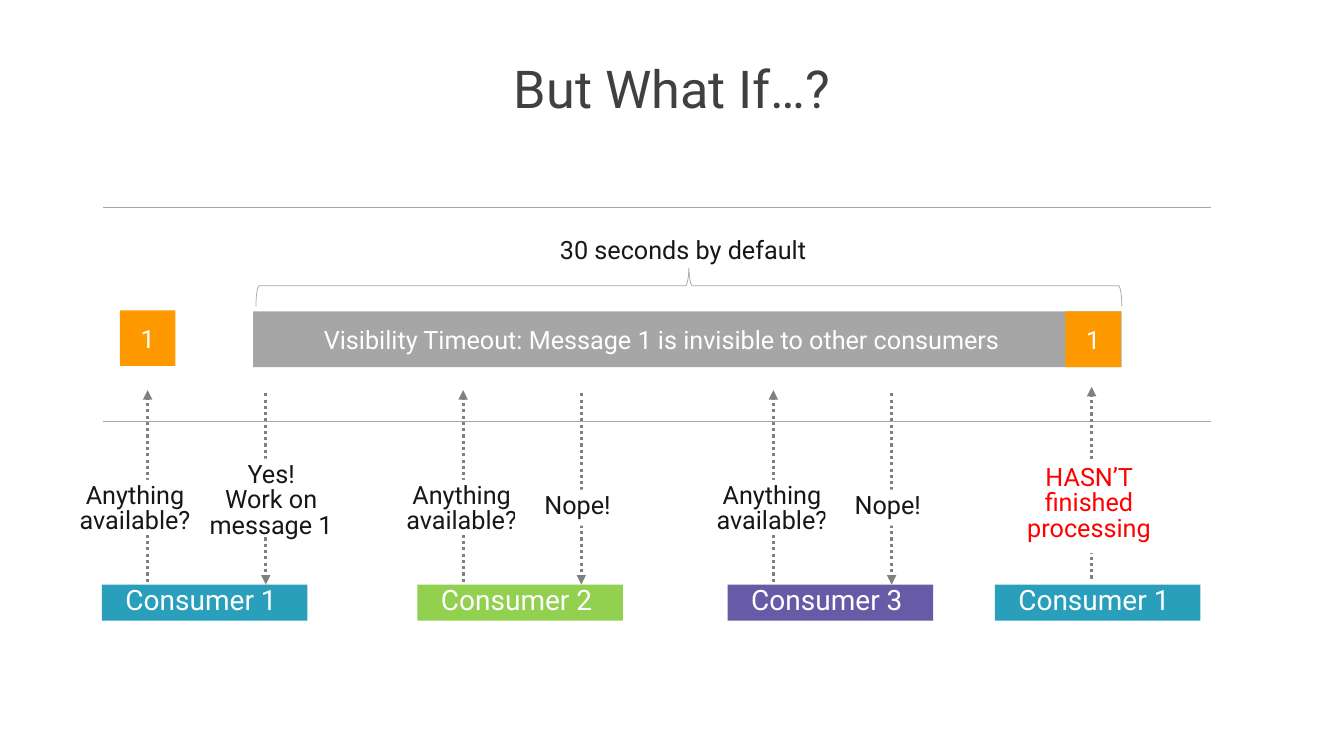
from lxml import etree
from pptx import Presentation
from pptx.dml.color import RGBColor
from pptx.enum import dml, shapes, text
from pptx.oxml.ns import qn
from pptx.util import Cm, Pt

FONT = "Roboto"
WHITE, INK, RED = "FFFFFF", "171717", "FF0000"
GRAY, DARK, ORANGE, TEAL = "A6A6A6", "808080", "FF9900", "2A9FBC"
SNUG = (0, 0.1, 0.18, 0.1)
WIDE = (0.25, 0.13, 0.25, 0.13)
MIDDLE, BOTTOM, TOP = (text.MSO_ANCHOR.MIDDLE, text.MSO_ANCHOR.BOTTOM,
                       text.MSO_ANCHOR.TOP)
CENTER, LEFT = text.PP_ALIGN.CENTER, text.PP_ALIGN.LEFT


def color(code):
    return RGBColor.from_string(code)


def write(shape, words, size, ink, anchor, align, insets, spacing):
    """Fill a shape with one paragraph; insets run left, top, right, bottom."""
    frame = shape.text_frame
    frame.word_wrap = True
    frame.vertical_anchor = anchor
    (frame.margin_left, frame.margin_top,
     frame.margin_right, frame.margin_bottom) = map(Cm, insets)
    para = frame.paragraphs[0]
    para.text = words
    para.alignment = align
    para.line_spacing = spacing
    para.font.name = FONT
    para.font.size = Pt(size)
    para.font.color.rgb = color(ink)


def add_title(slide, words):
    box = slide.shapes.add_textbox(Cm(2.34), Cm(1.57), Cm(29.21), Cm(1.5))
    write(box, words, 37.3, "404040", MIDDLE, CENTER, WIDE, 0.9)


def add_box(slide, at, fill, words, size=18, ink=WHITE, anchor=MIDDLE,
            align=CENTER, insets=WIDE, spacing=1.0):
    box = slide.shapes.add_shape(shapes.MSO_SHAPE.RECTANGLE, *map(Cm, at))
    box.shadow.inherit = False
    box.fill.solid()
    box.fill.fore_color.rgb = color(fill)
    box.line.fill.background()
    write(box, words, size, ink, anchor, align, insets, spacing)


def add_label(slide, at, words, ink=INK, anchor=TOP):
    add_box(slide, at, WHITE, words, 18, ink, anchor, CENTER, SNUG, 0.85)


def add_line(slide, start, end, ink, width):
    line = slide.shapes.add_connector(shapes.MSO_CONNECTOR.STRAIGHT,
                                      *map(Cm, start + end))
    line.line.color.rgb = color(ink)
    line.line.width = Pt(width)
    etree.SubElement(line._element.spPr, qn("a:effectLst"))
    return line


def add_arrow(slide, x, start, end):
    """Draw a dotted vertical arrow with its head at end."""
    arrow = add_line(slide, (x, start), (x, end), DARK, 2.25)
    arrow.line.dash_style = dml.MSO_LINE.ROUND_DOT
    etree.SubElement(arrow.line._get_or_add_ln(), qn("a:tailEnd"),
                     type="triangle")


def add_brace(slide):
    brace = slide.shapes.add_shape(shapes.MSO_SHAPE.LEFT_BRACE, Cm(16.84),
                                   Cm(-3.71), Cm(1.04), Cm(21.82))
    brace.rotation = 90
    brace.shadow.inherit = False
    brace.fill.background()
    brace.line.color.rgb = color(GRAY)
    brace.line.width = Pt(0.5)


def add_user(slide, x, name, fill):
    add_box(slide, (x, 14.73, 5.18, 0.91), fill, name, 20, WHITE, BOTTOM,
            CENTER, SNUG, 0.85)


def add_poll(slide, x, name, fill, ask, reply, words, top, height):
    """Draw a consumer with its question and the reply; ask and reply
    are the label offsets from x."""
    add_arrow(slide, x + 1.15, 14.66, 9.83)
    add_user(slide, x, name, fill)
    add_label(slide, (x + ask, 12.09, 3.33, 1.37), "Anything available?")
    add_arrow(slide, x + 4.13, 9.91, 14.73)
    add_label(slide, (x + reply, top, 3.33, height), words)


def main():
    deck = Presentation()
    deck.slide_width, deck.slide_height = Cm(33.87), Cm(19.05)
    slide = deck.slides.add_slide(deck.slide_layouts[6])

    add_title(slide, "But What If…?")
    for y in (5.23, 10.62):
        add_line(slide, (2.59, y), (30.53, y), GRAY, 0.5)

    add_box(slide, (3.02, 7.82, 1.4, 1.4), ORANGE, "1")
    add_box(slide, (6.38, 7.85, 21.89, 1.4), GRAY,
            "Visibility Timeout: Message 1 is invisible to other consumers",
            align=LEFT, insets=(1.78, 0.13, 0.25, 0.13))
    add_box(slide, (26.85, 7.85, 1.4, 1.4), ORANGE, "1")

    add_poll(slide, 2.57, "Consumer 1", TEAL, -0.74, 2.69,
             "Yes!\nWork on message 1", 11.56, 1.96)
    for x, name, fill in ((10.52, "Consumer 2", "92D050"),
                          (18.34, "Consumer 3", "675BA7")):
        add_poll(slide, x, name, fill, -0.46, 2.46, "Nope!", 12.34, 0.91)

    add_user(slide, 25.07, "Consumer 1", TEAL)
    add_arrow(slide, 27.51, 14.58, 9.75)
    add_label(slide, (25.58, 11.63, 3.91, 2.31),
              "HASN’T finished processing", RED)

    add_brace(slide)
    add_label(slide, (13.84, 5.82, 6.93, 0.94), "30 seconds by default",
              anchor=BOTTOM)
    deck.save("out.pptx")


if __name__ == "__main__":
    main()
